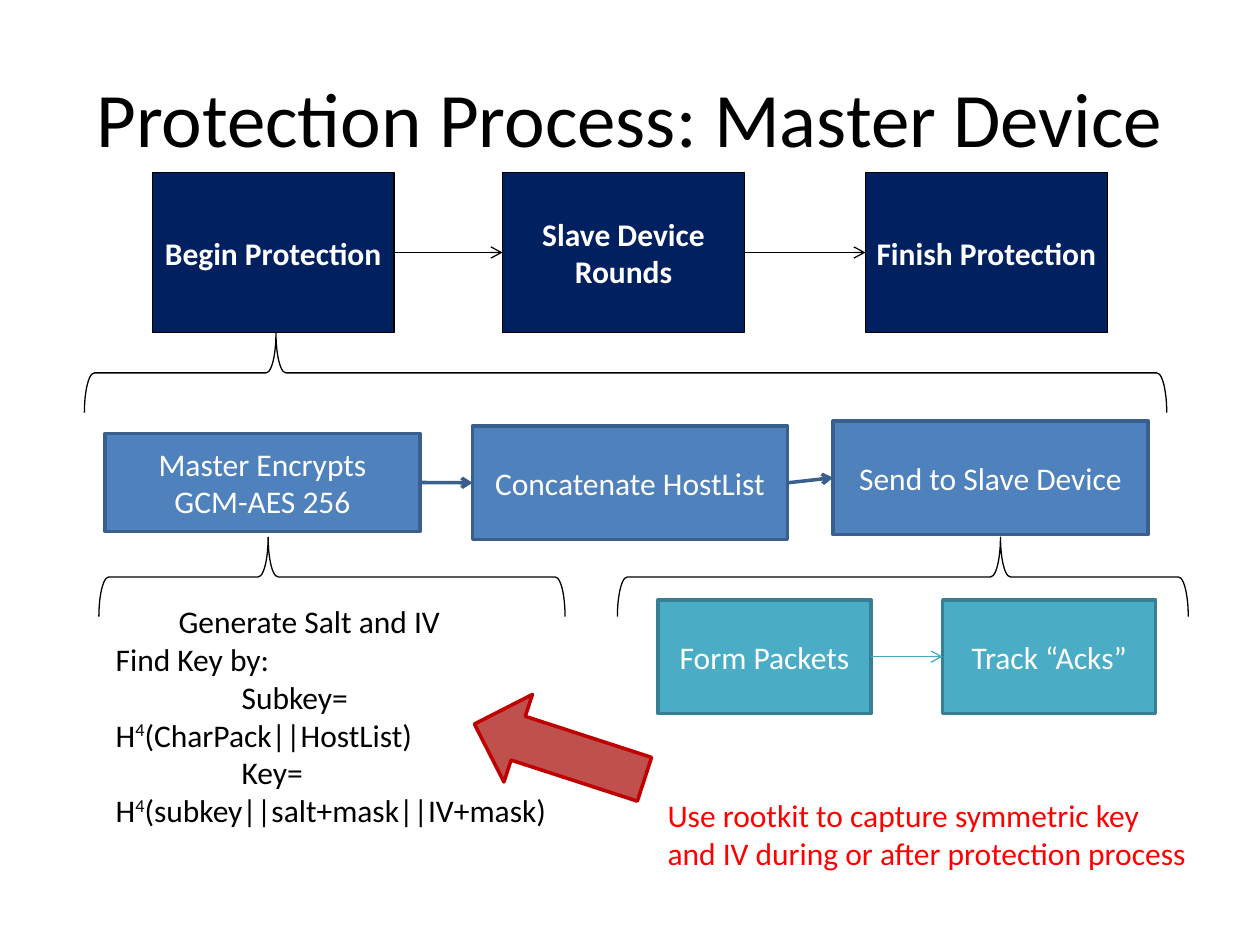
import pptx
import pptx.util
import pptx.dml.color
import pptx.enum.shapes
import pptx.enum.text
import lxml.etree
import dataclasses
import itertools

Pt = pptx.util.Pt
Shape = pptx.enum.shapes.MSO_SHAPE
Align = pptx.enum.text.PP_ALIGN
Anchor = pptx.enum.text.MSO_ANCHOR
qn = pptx.oxml.ns.qn


@dataclasses.dataclass(frozen=True)
class Level:
    fill: str
    border: str
    border_width: float
    arrow: str
    arrow_width: float
    bold: bool = False


@dataclasses.dataclass(frozen=True)
class Theme:
    font: str = "Calibri"
    title_size: float = 44
    body_size: float = 18
    ink: str = "000000"
    light: str = "FFFFFF"
    warning: str = "FF0000"
    thin: float = 0.75
    phase: Level = Level("002060", "000000", 0.75, "000000", 0.75, True)
    step: Level = Level("4F81BD", "3A5F8C", 2, "3A5F8C", 2)
    detail: Level = Level("4BACC6", "377F92", 2, "46AAC5", 0.75)
    attack: Level = Level("C0504D", "C00000", 2, "C00000", 2)


THEME = Theme()


def rgb(code):
    return pptx.dml.color.RGBColor.from_string(code)


def style_line(line, color, width):
    line.color.rgb = rgb(color)
    line.width = Pt(width)


def write(frame, lines, color, size=THEME.body_size, align=Align.LEFT, bold=False):
    frame.text = "\n".join(lines)
    for paragraph in frame.paragraphs:
        paragraph.alignment = align
        for run in paragraph.runs:
            style_run(run, color, size, bold)


def style_run(run, color, size=THEME.body_size, bold=False):
    run.font.name = THEME.font
    run.font.size = Pt(size)
    run.font.bold = bold
    run.font.color.rgb = rgb(color)


def add_block(slide, kind, box, level):
    block = slide.shapes.add_shape(kind, *map(Pt, box))
    block.shadow.inherit = False
    block.fill.solid()
    block.fill.fore_color.rgb = rgb(level.fill)
    style_line(block.line, level.border, level.border_width)
    return block


def add_arrow(slide, source, target, level):
    arrow = slide.shapes.add_connector(pptx.enum.shapes.MSO_CONNECTOR.STRAIGHT, 0, 0, 0, 0)
    arrow.begin_connect(source, 3)
    arrow.end_connect(target, 1)
    style_line(arrow.line, level.arrow, level.arrow_width)
    lxml.etree.SubElement(arrow.line._get_or_add_ln(), qn("a:tailEnd"), type="arrow")
    lxml.etree.SubElement(arrow._element.spPr, qn("a:effectLst"))


def add_chain(slide, left, top, width, steps, level):
    blocks = []
    for dx, dy, height, lines in steps:
        block = add_block(slide, Shape.RECTANGLE, (left + dx, top + dy, width, height), level)
        frame = block.text_frame
        frame.word_wrap = True
        frame.vertical_anchor = Anchor.MIDDLE
        frame.margin_left = frame.margin_right = Pt(2)
        write(frame, lines, THEME.light, align=Align.CENTER, bold=level.bold)
        blocks.append(block)
    for source, target in itertools.pairwise(blocks):
        add_arrow(slide, source, target, level)


def add_brace(slide, left, top, width, height, tip):
    middle_x, middle_y = left + width / 2, top + height / 2
    brace = slide.shapes.add_shape(
        Shape.LEFT_BRACE, Pt(middle_x - height / 2), Pt(middle_y - width / 2), Pt(height), Pt(width))
    brace.rotation = 90
    brace.adjustments[0] = 0.125
    brace.adjustments[1] = 1 - tip
    brace.shadow.inherit = False
    brace.fill.background()
    style_line(brace.line, THEME.ink, THEME.thin)


def add_title(slide, left, top, width, height):
    title = slide.shapes.add_textbox(*map(Pt, (left, top, width, height))).text_frame
    title.word_wrap = True
    title.vertical_anchor = Anchor.MIDDLE
    write(title, ["Protection Process: Master Device"], THEME.ink, THEME.title_size, Align.CENTER)


def add_key_derivation(slide, left, top, width, height):
    derivation = slide.shapes.add_textbox(*map(Pt, (left, top, width, height))).text_frame
    derivation.word_wrap = True
    lines = [
        (36, "Generate Salt and IV", ""),
        (0, "Find Key by:", ""),
        (72, "Subkey=", ""),
        (0, "H", "(CharPack||HostList)"),
        (72, "Key=", ""),
        (0, "H", "(subkey||salt+mask||IV+mask)"),
    ]
    write(derivation, [start for _, start, _ in lines], THEME.ink)
    for paragraph, (indent, _, argument) in zip(derivation.paragraphs, lines):
        paragraph._p.get_or_add_pPr().set("marL", str(Pt(indent)))
        if argument:
            for words, baseline in (("4", "33000"), (argument, "0")):
                run = paragraph.add_run()
                run.text = words
                style_run(run, THEME.ink)
                run._r.get_or_add_rPr().set("baseline", baseline)


def add_attack(slide, left, top):
    pointer = add_block(slide, Shape.RIGHT_ARROW, (left, top, 102.2, 52.6), THEME.attack)
    pointer.rotation = 198
    warning = slide.shapes.add_textbox(Pt(left + 105.8), Pt(top + 48.2), Pt(314.6), Pt(51)).text_frame
    warning.word_wrap = False
    write(warning, ["Use rootkit to capture symmetric key",
                    "and IV during or after protection process"], THEME.warning)


def build():
    deck = pptx.Presentation()
    deck.slide_width, deck.slide_height = Pt(720), Pt(540)
    slide = deck.slides.add_slide(deck.slide_layouts[6])

    add_title(slide, 36, 21.6, 648, 90)
    add_chain(slide, 87, 98.6, 138.2, [
        (0, 0, 91.4, ["Begin Protection"]),
        (200.2, 0, 91.4, ["Slave Device Rounds"]),
        (407.6, 0, 91.4, ["Finish Protection"]),
    ], THEME.phase)
    add_brace(slide, 48.2, 190.4, 618.5, 45.4, 0.177)
    add_chain(slide, 60, 240.5, 180, [
        (0, 7.2, 56, ["Master Encrypts", "GCM-AES 256"]),
        (210, 2.9, 65, ["Concatenate HostList"]),
        (416, 0, 65, ["Send to Slave Device"]),
    ], THEME.step)
    add_brace(slide, 56.5, 307, 266.4, 45.4, 0.363)
    add_brace(slide, 352.8, 307, 326.2, 45.4, 0.671)
    add_chain(slide, 376, 342.7, 121.7, [
        (0, 0, 65, ["Form Packets"]),
        (162.7, 0, 65, ["Track “Acks”"]),
    ], THEME.detail)
    add_key_derivation(slide, 59, 340.6, 262.8, 162)
    add_attack(slide, 268.6, 403.2)

    deck.save("out.pptx")


build()
